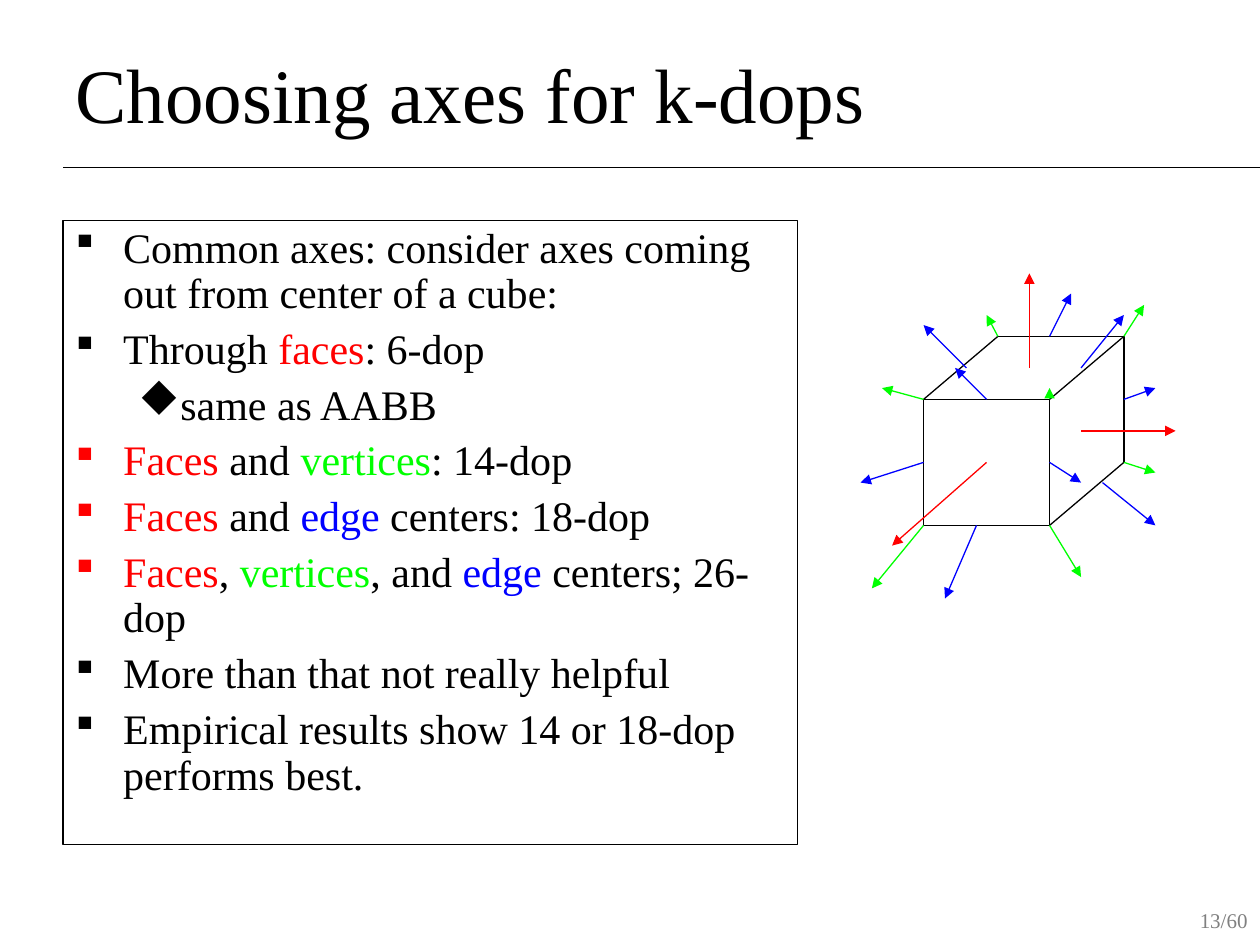
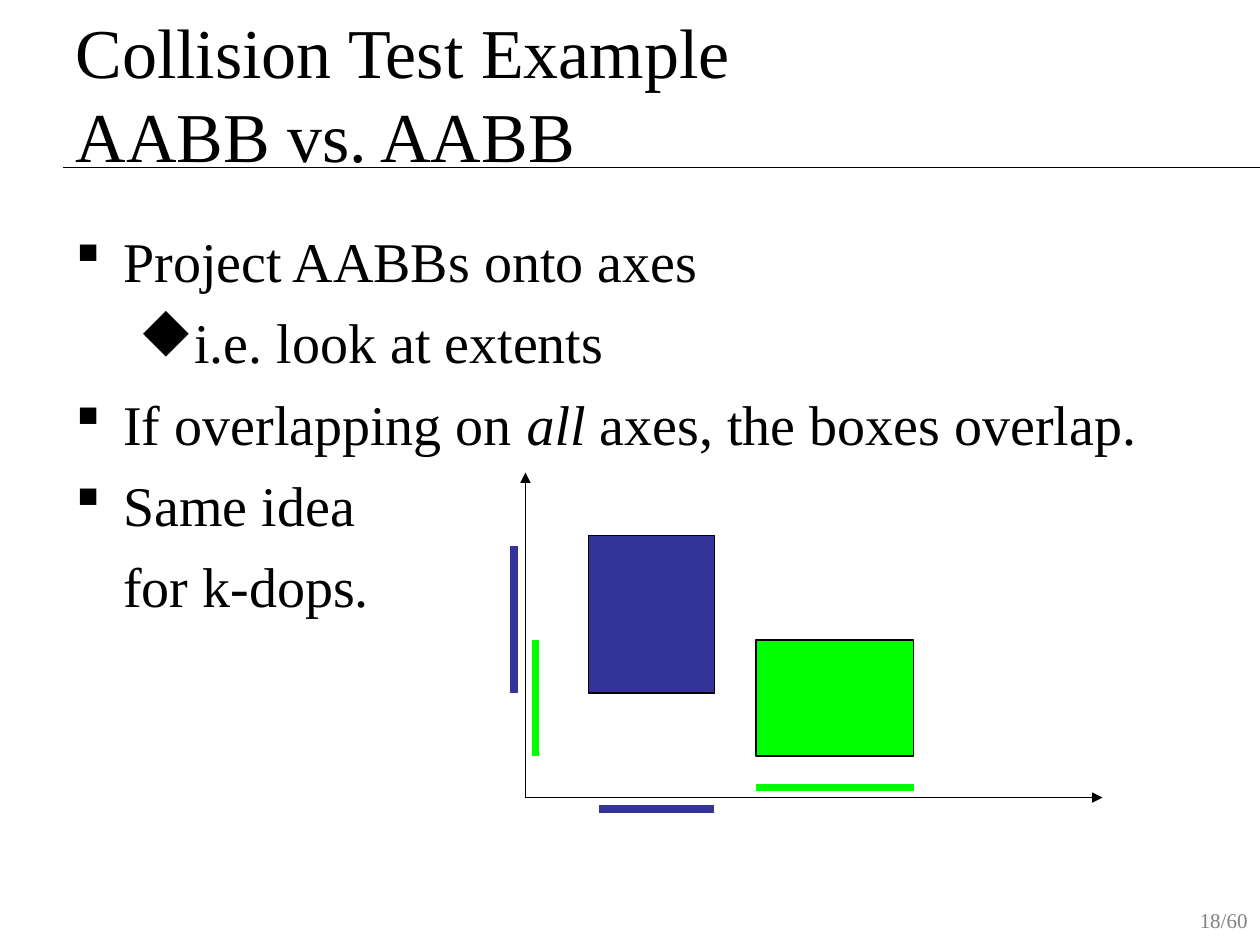
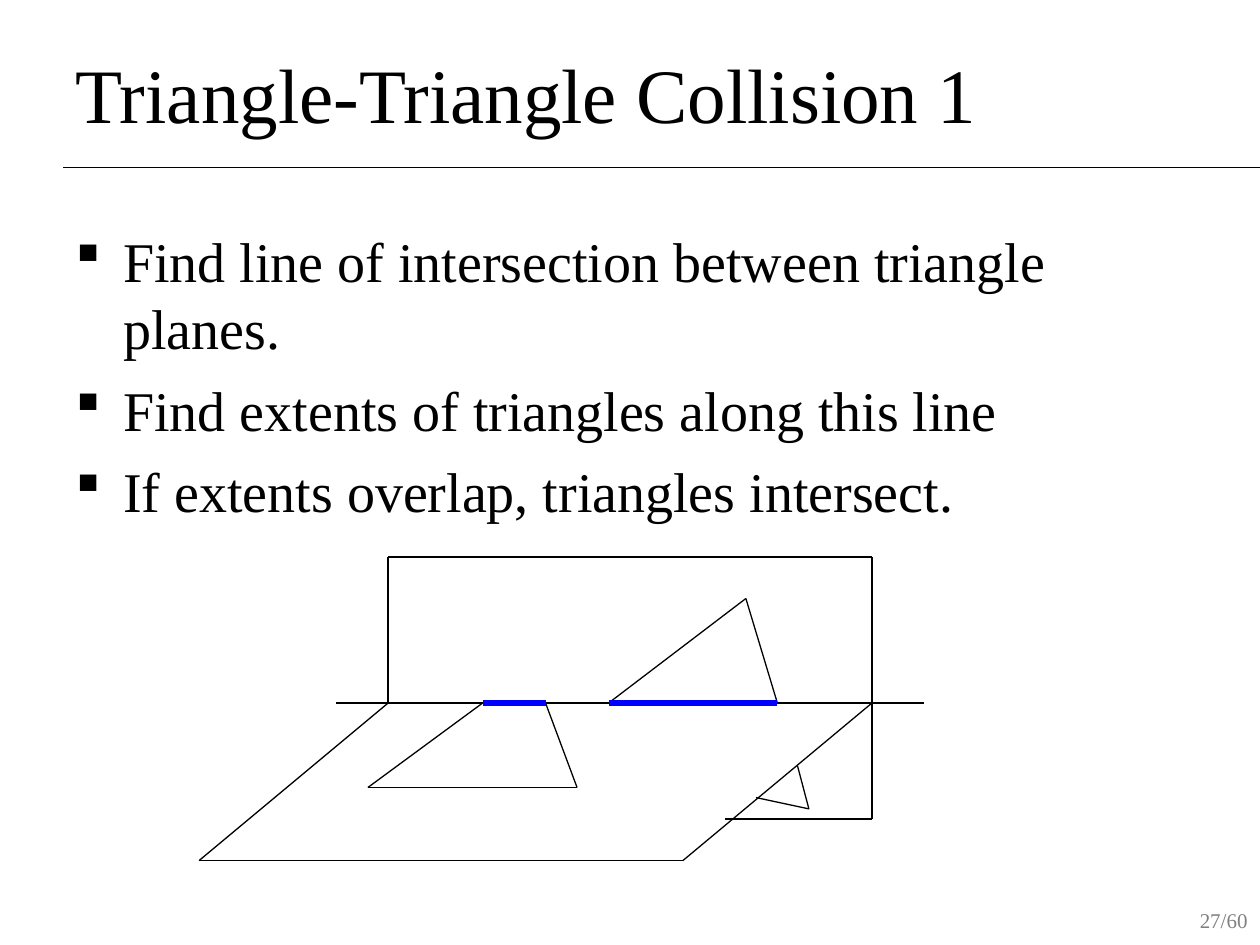
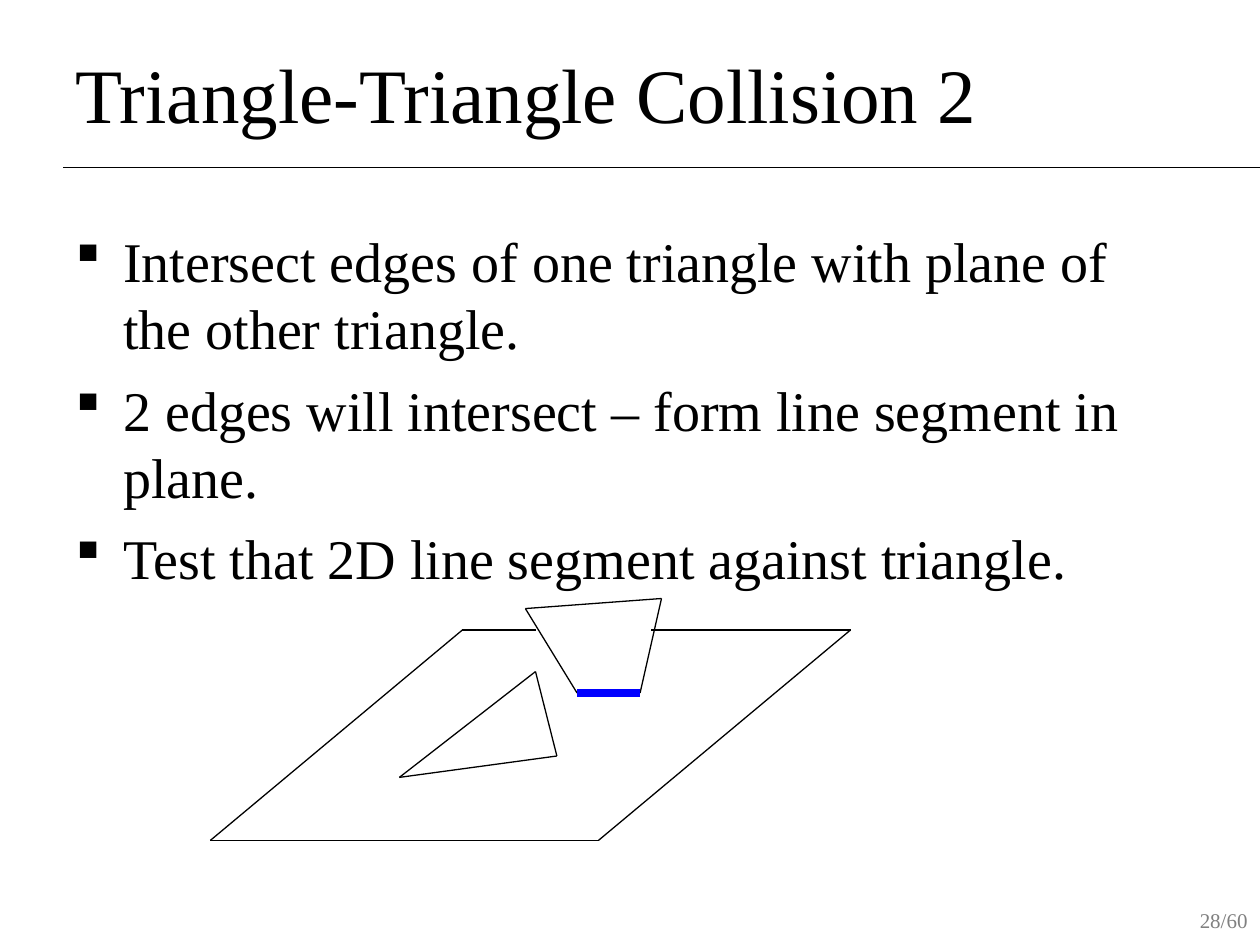
import pptx
import pptx.dml.color
import pptx.enum.shapes
import pptx.enum.text
import pptx.oxml.ns
import pptx.util
from lxml import etree

Inches = pptx.util.Inches
RGBColor = pptx.dml.color.RGBColor
qn = pptx.oxml.ns.qn

BLACK = RGBColor(0x00, 0x00, 0x00)
GRAY = RGBColor(0x80, 0x80, 0x80)
RED = RGBColor(0xFF, 0x00, 0x00)
GREEN = RGBColor(0x00, 0xFF, 0x00)
BLUE = RGBColor(0x00, 0x00, 0xFF)
INDIGO = RGBColor(0x33, 0x33, 0x99)
FONT = "Times New Roman"

# In this symbol font "§" draws a small square and "u" a diamond.
BULLET_FONT = "Wingdings"
SQUARE, DIAMOND = "§", "u"


def write(paragraph, text, size=32, color=BLACK, italic=None):
    """Append text to a paragraph; a newline becomes a line break."""
    for number, part in enumerate(text.split("\n")):
        if number:
            paragraph.add_line_break()
        span = paragraph.add_run()
        span.text = part
        span.font.name = FONT
        span.font.size = pptx.util.Pt(size)
        span.font.color.rgb = color
        span.font.italic = italic


def draw_path(shapes, points, color=BLACK, width=0.75, arrow=False):
    """Join successive points with connectors and return the last one."""
    for start, end in zip(points, points[1:]):
        line = shapes.add_connector(
            pptx.enum.shapes.MSO_CONNECTOR.STRAIGHT,
            *[Inches(value) for value in (*start, *end)])
        line.line.color.rgb = color
        line.line.width = pptx.util.Pt(width)
        properties = line.element.spPr
        if arrow:
            etree.SubElement(properties.find(qn("a:ln")), qn("a:tailEnd"), type="triangle")
        etree.SubElement(properties, qn("a:effectLst"))
    return line


# Each body line: bullet level (None for no bullet), then its spans.
pages = [
    {"title": "Choosing axes for k-dops", "number": 13, "size": 24, "width": 5.83,
     "spacing": 0.9, "before": 6, "border": True,
     "body": [
         (0, [("Common axes: consider axes coming out from center of a cube:", {})]),
         (0, [("Through ", {}), ("faces", {"color": RED}), (": 6-dop", {})]),
         (1, [("same as AABB", {})]),
         (0, [("Faces", {"color": RED}), (" and ", {}), ("vertices", {"color": GREEN}),
              (": 14-dop", {})]),
         (0, [("Faces", {"color": RED}), (" and ", {}), ("edge", {"color": BLUE}),
              (" centers: 18-dop", {})]),
         (0, [("Faces", {"color": RED}), (", ", {}), ("vertices", {"color": GREEN}),
              (", and ", {}), ("edge", {"color": BLUE}), (" centers; 26-dop", {})]),
         (0, [("More than that not really helpful", {})]),
         (0, [("Empirical results show 14 or 18-dop performs best.", {})])]},
    {"title": "Collision Test Example\nAABB vs. AABB", "number": 18, "title_size": 40,
     "body": [
         (0, [("Project AABBs onto axes", {})]),
         (1, [("i.e. look at extents", {})]),
         (0, [("If overlapping on ", {}), ("all ", {"italic": True}),
              ("axes, the boxes overlap.", {})]),
         (0, [("Same idea", {})]),
         (None, [("for k-dops.", {})])]},
    {"title": "Triangle-Triangle Collision 1", "number": 27,
     "body": [
         (0, [("Find line of intersection between triangle planes.", {})]),
         (0, [("Find extents of triangles along this line", {})]),
         (0, [("If extents overlap, triangles intersect.", {})])]},
    {"title": "Triangle-Triangle Collision 2", "number": 28,
     "body": [
         (0, [("Intersect edges of one triangle with plane of the other triangle.", {})]),
         (0, [("2 edges will intersect – form line segment in plane.", {})]),
         (0, [("Test that 2D line segment against triangle.", {})])]},
]

deck = pptx.Presentation()
deck.slide_width = Inches(10)
deck.slide_height = Inches(7.5)
layout = deck.slide_layouts[5]
slides = [deck.slides.add_slide(layout) for page in pages]

# The rule under the title belongs to the shared layout.
title_rule = draw_path(slides[0].shapes, [(0.5, 1.33), (10, 1.33)])
layout.shapes.element.append(title_rule.element)

# Titles, page numbers and bullet text
for slide, page in zip(slides, pages):
    number_box = slide.shapes.add_textbox(Inches(7.67), Inches(7.15), Inches(2.33), Inches(0.52))
    number_box.text_frame.word_wrap = True
    paragraph = number_box.text_frame.paragraphs[0]
    paragraph.alignment = pptx.enum.text.PP_ALIGN.RIGHT
    write(paragraph, f"{page['number']}/60", size=12, color=GRAY)

    title = slide.shapes.title
    title.left, title.top = Inches(0.5), Inches(0.3)
    title.width, title.height = Inches(9), Inches(0.87)
    title.text_frame.auto_size = pptx.enum.text.MSO_AUTO_SIZE.NONE
    title.text_frame.vertical_anchor = pptx.enum.text.MSO_ANCHOR.MIDDLE
    paragraph = title.text_frame.paragraphs[0]
    paragraph.alignment = pptx.enum.text.PP_ALIGN.LEFT
    write(paragraph, page["title"], size=page.get("title_size", 44))

    body_box = slide.shapes.add_textbox(
        Inches(0.5), Inches(1.75), Inches(page.get("width", 9)), Inches(4.95))
    body_box.text_frame.word_wrap = True
    if page.get("border"):
        body_box.line.color.rgb = BLACK
        body_box.line.width = pptx.util.Pt(0.75)
    for index, (level, spans) in enumerate(page["body"]):
        frame = body_box.text_frame
        paragraph = frame.add_paragraph() if index else frame.paragraphs[0]
        paragraph.level = level or 0
        paragraph.line_spacing = page.get("spacing", 1.0)
        paragraph.space_before = pptx.util.Pt(page.get("before", 8) if index else 0)
        margin, hanging, bullet = (0.81, 0.31, DIAMOND) if level == 1 else (0.38, 0.38, SQUARE)
        properties = paragraph._p.get_or_add_pPr()
        properties.set("marL", str(Inches(margin)))
        if level is None:
            properties.set("indent", "0")
            etree.SubElement(properties, qn("a:buNone"))
        else:
            properties.set("indent", str(-Inches(hanging)))
            bullet_color = etree.SubElement(properties, qn("a:buClr"))
            first_color = spans[0][1].get("color", BLACK)
            etree.SubElement(bullet_color, qn("a:srgbClr"), val=str(first_color))
            etree.SubElement(properties, qn("a:buFont"), typeface=BULLET_FONT, charset="2")
            etree.SubElement(properties, qn("a:buChar"), char=bullet)
        for text, style in spans:
            write(paragraph, text, size=page.get("size", 32), **style)

axes_slide, projection_slide, planes_slide, segment_slide = slides

# Cube with axes through its faces, edges and vertices
cube = axes_slide.shapes.add_group_shape()
front = cube.shapes.add_shape(pptx.enum.shapes.MSO_SHAPE.RECTANGLE,
                              Inches(7.33), Inches(3.17), Inches(1), Inches(1))
front.shadow.inherit = False
front.fill.background()
front.line.color.rgb = BLACK
front.line.width = pptx.util.Pt(0.75)
draw_path(cube.shapes, [(7.33, 3.17), (7.92, 2.67), (8.92, 2.67), (8.92, 3.67), (8.33, 4.17)])
draw_path(cube.shapes, [(8.33, 3.17), (8.92, 2.67)])

cube_axes = [
    (RED, [((7.83, 3.67), (7.08, 4.33)), ((8.17, 2.92), (8.17, 2.17)),
           ((8.58, 3.42), (9.33, 3.42))]),
    (BLUE, [((7.83, 3.17), (7.58, 2.92)), ((8.33, 3.67), (8.58, 3.83)),
            ((8.58, 2.92), (8.92, 2.5)), ((7.33, 3.67), (6.83, 3.83)),
            ((7.75, 4.17), (7.5, 4.75)), ((8.75, 3.83), (9.17, 4.17)),
            ((7.67, 2.92), (7.33, 2.58)), ((8.33, 2.67), (8.5, 2.33)),
            ((8.92, 3.17), (9.17, 3.08))]),
    (GREEN, [((7.33, 4.17), (6.92, 4.67)), ((7.33, 3.17), (7, 3.08)),
             ((8.33, 4.17), (8.58, 4.58)), ((8.33, 3.17), (8.33, 3.08)),
             ((8.92, 3.67), (9.17, 3.75)), ((8.92, 2.67), (9.08, 2.42)),
             ((7.92, 2.67), (7.83, 2.5))]),
]
for color, axes in cube_axes:
    for axis in axes:
        draw_path(axes_slide.shapes, axis, color=color, arrow=True)

# Two bounding boxes and their extents on both axes
for axis_end in [(4.17, 3.75), (8.75, 6.33)]:
    draw_path(projection_slide.shapes, [(4.17, 6.33), axis_end], arrow=True)
for color, left, top, width, height in [(INDIGO, 4.67, 4.25, 1, 1.25),
                                        (GREEN, 6, 5.08, 1.25, 0.92)]:
    bounds = projection_slide.shapes.add_shape(
        pptx.enum.shapes.MSO_SHAPE.RECTANGLE,
        Inches(left), Inches(top), Inches(width), Inches(height))
    bounds.shadow.inherit = False
    bounds.fill.solid()
    bounds.fill.fore_color.rgb = color
    bounds.line.color.rgb = BLACK
    bounds.line.width = pptx.util.Pt(0.75)
for color, extent in [(GREEN, [(4.25, 5.08), (4.25, 6)]),
                      (INDIGO, [(4.08, 4.33), (4.08, 5.5)]),
                      (GREEN, [(6, 6.25), (7.25, 6.25)]),
                      (INDIGO, [(4.75, 6.42), (5.67, 6.42)])]:
    draw_path(projection_slide.shapes, extent, color=color, width=4.5)

# Crossing planes with a triangle in each
for outline in [
    [(2.67, 5.58), (3.08, 5.58), (6.92, 5.58), (7.33, 5.58)],
    [(3.08, 5.58), (3.08, 4.42), (6.92, 4.42), (6.92, 5.5), (6.92, 6.5), (5.75, 6.5)],
    [(3.08, 5.58), (1.58, 6.83), (5.42, 6.83), (6.92, 5.58)],
    [(4.83, 5.58), (5.92, 4.75), (6.17, 5.58)],
    [(6.33, 6.08), (6.42, 6.42), (6, 6.33)],
    [(3.83, 5.58), (2.92, 6.25), (4.58, 6.25), (4.33, 5.58)],
]:
    draw_path(planes_slide.shapes, outline)
for left, right in [(3.83, 4.33), (4.83, 6.17)]:
    draw_path(planes_slide.shapes, [(left, 5.58), (right, 5.58)], color=BLUE, width=3)

# One triangle cutting the plane of the other
for outline in [
    [(4.25, 5), (3.67, 5), (1.67, 6.67), (4.75, 6.67), (6.75, 5), (5.17, 5)],
    [(4.25, 5.33), (3.17, 6.17), (4.42, 6), (4.25, 5.33)],
    [(4.58, 5.5), (4.17, 4.83), (5.25, 4.75), (5.08, 5.5)],
]:
    draw_path(segment_slide.shapes, outline)
draw_path(segment_slide.shapes, [(4.58, 5.5), (5.08, 5.5)], color=BLUE, width=4.5)

deck.save("out.pptx")
